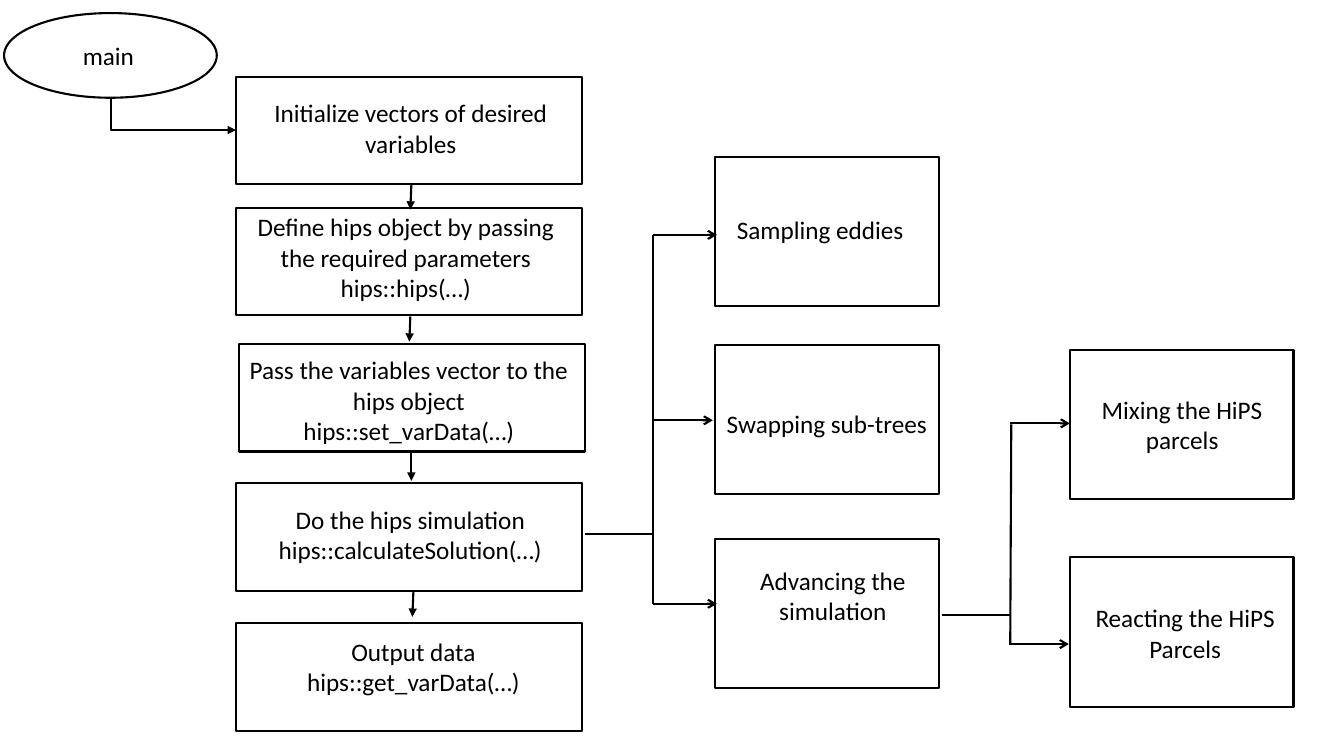
from lxml.etree import SubElement
from pptx import Presentation
from pptx.dml.color import RGBColor
from pptx.enum.shapes import MSO_CONNECTOR, MSO_SHAPE
from pptx.enum.text import PP_ALIGN
from pptx.oxml.ns import qn
from pptx.util import Pt

PX = 9144
BLACK = "000000"


def color(hex_text):
    return RGBColor.from_string(hex_text)


def connect(kind, start, end, arrowhead):
    connector = slide.shapes.add_connector(kind, *[value * PX for value in start + end])
    connector.line.color.rgb = color(BLACK)
    connector.line.width = Pt(1.5)
    properties = connector._element.spPr
    if arrowhead:
        SubElement(properties.find(qn("a:ln")), qn("a:tailEnd"), type=arrowhead)
    SubElement(properties, qn("a:effectLst"))
    return connector


presentation = Presentation()
presentation.slide_width = 1333 * PX
presentation.slide_height = 750 * PX
slide = presentation.slides.add_slide(presentation.slide_layouts[6])

step_size = (343, 107)
task_size = (222, 148)
outlines = [
    (MSO_SHAPE.OVAL, (4, 13), (211, 84)),
    (MSO_SHAPE.RECTANGLE, (234, 76), step_size),
    (MSO_SHAPE.RECTANGLE, (234, 206), step_size),
    (MSO_SHAPE.RECTANGLE, (237, 341), step_size),
    (MSO_SHAPE.RECTANGLE, (234, 479), step_size),
    (MSO_SHAPE.RECTANGLE, (234, 618), step_size),
    (MSO_SHAPE.RECTANGLE, (709, 156), task_size),
    (MSO_SHAPE.RECTANGLE, (709, 342), task_size),
    (MSO_SHAPE.RECTANGLE, (709, 535), task_size),
    (MSO_SHAPE.RECTANGLE, (1061, 347), task_size),
    (MSO_SHAPE.RECTANGLE, (1061, 553), task_size),
]
for kind, position, size in outlines:
    shape = slide.shapes.add_shape(kind, *[value * PX for value in position + size])
    shape.shadow.inherit = False
    shape.fill.background()
    shape.line.color.rgb = color(BLACK)
    shape.line.width = Pt(1.5)

main_link = connect(MSO_CONNECTOR.ELBOW, (188, 51), (156, 175), "triangle")
main_link._element.spPr.find(qn("a:prstGeom")).set("prst", "bentConnector2")
main_link._element.spPr.find(qn("a:xfrm")).set("rot", "16200000")

lines = [
    ((408, 183), (407, 208), "triangle"),
    ((407, 314), (406, 339), "triangle"),
    ((408, 448), (408, 477), "triangle"),
    ((410, 587), (409, 612), "triangle"),
    ((580, 530), (648, 530), None),
    ((648, 233), (648, 599), None),
    ((648, 233), (711, 233), "arrow"),
    ((648, 417), (707, 417), "arrow"),
    ((648, 599), (711, 599), "arrow"),
    ((934, 610), (1002, 610), None),
    ((1003, 421), (1002, 639), None),
    ((1002, 420), (1061, 420), "arrow"),
    ((1001, 639), (1060, 639), "arrow"),
]
for start, end, arrowhead in lines:
    connect(MSO_CONNECTOR.STRAIGHT, start, end, arrowhead)

labels = [
    ((43, 35, 129, 40), PP_ALIGN.CENTER, ["main"]),
    ((246, 92, 323, 71), PP_ALIGN.CENTER, ["Initialize vectors of desired variables"]),
    ((235, 205, 335, 101), PP_ALIGN.CENTER,
     ["Define hips object by passing the required parameters", "hips::hips(…)"]),
    ((231, 347, 349, 118), PP_ALIGN.CENTER,
     ["Pass the variables vector to the hips object", "hips::set_varData(…)"]),
    ((251, 495, 312, 71), PP_ALIGN.CENTER,
     ["Do the hips simulation", "hips::calculateSolution(…)"]),
    ((254, 626, 312, 71), PP_ALIGN.CENTER, ["Output data", "hips::get_varData(…)"]),
    ((721, 208, 203, 40), PP_ALIGN.LEFT, ["Sampling eddies"]),
    ((711, 400, 223, 40), PP_ALIGN.LEFT, ["Swapping sub-trees"]),
    ((715, 556, 222, 71), PP_ALIGN.CENTER, ["Advancing the simulation"]),
    ((1071, 386, 203, 71), PP_ALIGN.CENTER, ["Mixing the HiPS parcels"]),
    ((1074, 593, 203, 71), PP_ALIGN.CENTER, ["Reacting the HiPS", "Parcels"]),
]
for bounds, alignment, texts in labels:
    text_frame = slide.shapes.add_textbox(*[value * PX for value in bounds]).text_frame
    text_frame.word_wrap = True
    text_frame.text = "\n".join(texts)
    for paragraph in text_frame.paragraphs:
        paragraph.alignment = alignment
        paragraph.font.name = "Calibri"
        paragraph.font.size = Pt(18)
        paragraph.font.color.rgb = color(BLACK)

presentation.save("out.pptx")
